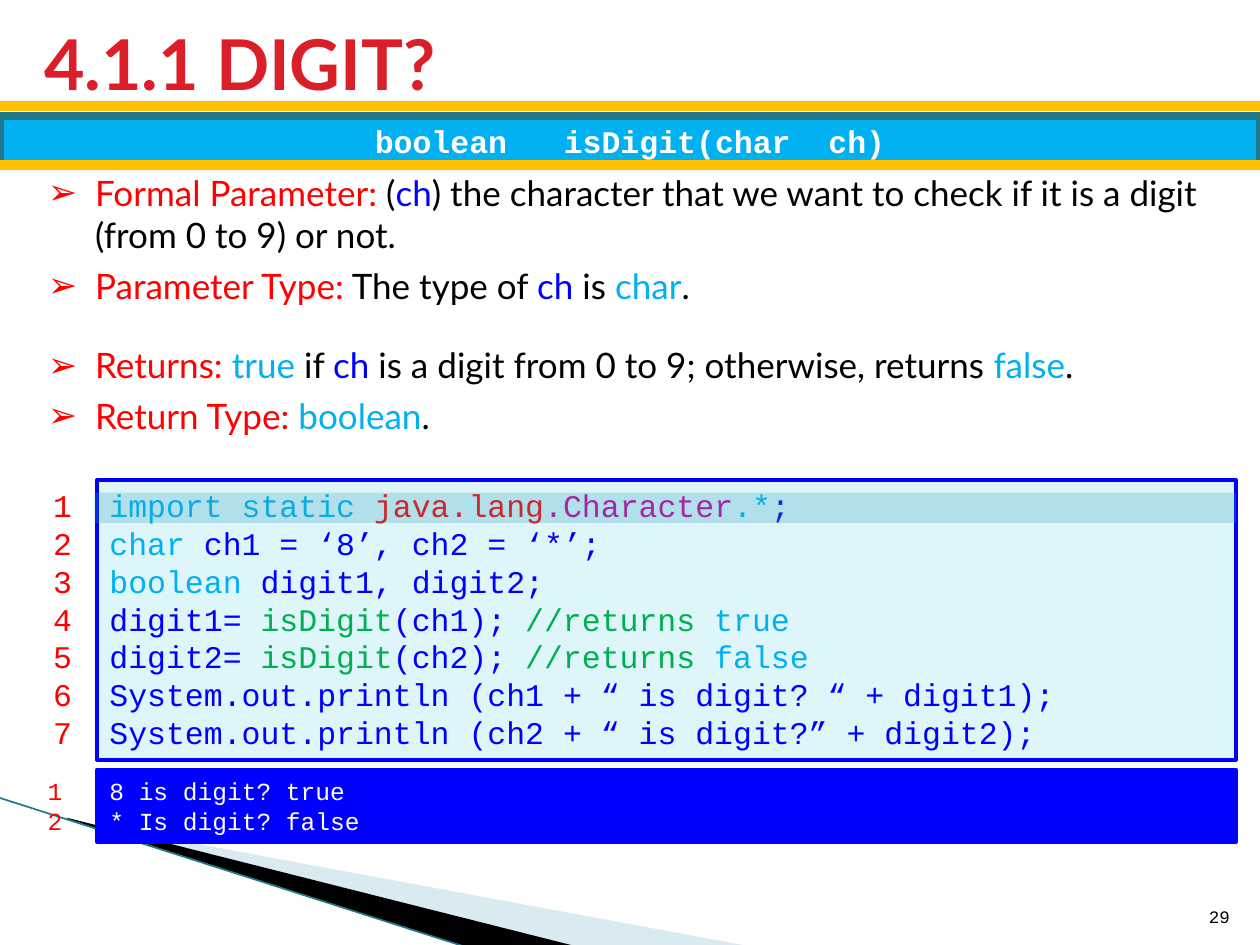
from lxml.etree import SubElement
from pptx import Presentation
from pptx.dml.color import RGBColor
from pptx.enum.shapes import MSO_CONNECTOR as Connector, MSO_SHAPE as Shape
from pptx.enum.text import MSO_ANCHOR as Anchor, MSO_AUTO_SIZE as AutoSize, PP_ALIGN as Align
from pptx.oxml.ns import qn
from pptx.util import Pt

RED, BLUE, SKY, GREEN = "FF0000", "0000FF", "00B0F0", "00B050"
BLACK, WHITE, PURPLE, GOLD, TEAL = "000000", "FFFFFF", "CC0099", "FFC000", "21788D"
MONO, SANS = "Courier New", "Lato"


def paint(target, color, alpha=100):
    if hasattr(target, "solid"):
        target.solid()
        target.fore_color.rgb = RGBColor.from_string(color)
        if alpha < 100:
            tint = target._xPr.find(".//" + qn("a:srgbClr"))
            SubElement(tint, qn("a:alpha"), val=str(alpha * 1000))
    else:
        target.rgb = RGBColor.from_string(color)


def write(box, lines, font, size, align=Align.LEFT, anchor=Anchor.TOP, bold=False, spacing=None):
    frame = box.text_frame
    frame.word_wrap = True
    frame.auto_size = AutoSize.NONE
    frame.vertical_anchor = anchor
    for index, line in enumerate(lines):
        para = frame.add_paragraph() if index else frame.paragraphs[0]
        para.alignment = align
        para.space_before = Pt(0)
        if spacing:
            para.line_spacing = Pt(spacing)
        for text, color in line:
            span = para.add_run()
            span.text = text
            span.font.name = font
            span.font.size = Pt(size)
            span.font.bold = bold
            paint(span.font.color, color)


deck = Presentation()
deck.slide_width, deck.slide_height = Pt(720), Pt(540)
page = deck.slides.add_slide(deck.slide_layouts[4])
shapes = page.shapes
title, *bodies = page.placeholders

title.left, title.top, title.width, title.height = Pt(18), Pt(12.24), Pt(681.84), Pt(46.8)
write(title, [[("4.1.1 DIGIT?", "DA1F28")]], SANS, 40, anchor=Anchor.MIDDLE, bold=True)

facts = [
    (94.32, 55.44, [("Formal Parameter:", RED), (" (", BLACK), ("ch", BLUE),
                    (") the character that we want to check if it is a digit (from 0 to 9) or not.", BLACK)]),
    (147.6, 31.68, [("Parameter Type:", RED), (" The type of ", BLACK), ("ch", BLUE),
                    (" is ", BLACK), ("char", SKY), (".", BLACK)]),
    (192.96, 31.68, [("Returns: ", RED), ("true ", SKY), ("if ", BLACK), ("ch ", BLUE),
                     ("is a digit from 0 to 9; otherwise, returns ", BLACK), ("false", SKY), (".", BLACK)]),
    (221.76, 31.68, [("Return Type: ", RED), ("boolean", SKY), (".", BLACK)]),
]
for body, (top, height, line) in zip(bodies, facts):
    body.left, body.top, body.width, body.height = Pt(20.16), Pt(top), Pt(680.4), Pt(height)
    write(body, [line], SANS, 20)
    props = body.text_frame.paragraphs[0]._p.get_or_add_pPr()
    props.set("marL", str(Pt(27)))
    props.set("indent", str(-Pt(27)))
    SubElement(SubElement(props, qn("a:buClr")), qn("a:srgbClr"), val=RED)
    SubElement(props, qn("a:buChar"), char="➢")

wedges = [
    ([(39.6, 468.72), (428.4, 540.72), (328.32, 540.72), (39.6, 468)], "A0CBDC", 40),
    ([(38.16, 467.28), (329.04, 540.72), (267.84, 541.44), (38.88, 468)], BLACK, 100),
]
for points, color, alpha in wedges:
    start, *rest = [(Pt(x), Pt(y)) for x, y in points]
    builder = shapes.build_freeform(*start)
    builder.add_line_segments(rest)
    wedge = builder.convert_to_shape()
    wedge.shadow.inherit = False
    wedge.line.fill.background()
    paint(wedge.fill, color, alpha)

panels = {}
for name, left, top, width, height, fill, alpha, edge, weight in [
    ("signature", 0, 66.24, 720, 28.08, SKY, 100, TEAL, 4.33),
    ("code", 55.44, 274.32, 650.88, 159.84, "DEF5FA", 100, BLUE, 2.25),
    ("output", 55.44, 439.92, 650.88, 41.04, BLUE, 100, BLUE, 2.25),
    ("highlight", 54, 281.52, 652.32, 17.28, "2DA2BF", 25, None, 0),
]:
    panel = shapes.add_shape(Shape.RECTANGLE, Pt(left), Pt(top), Pt(width), Pt(height))
    panel.shadow.inherit = False
    paint(panel.fill, fill, alpha)
    if edge:
        paint(panel.line.fill, edge)
        panel.line.width = Pt(weight)
    else:
        panel.line.fill.background()
    panels[name] = panel

for x1, y1, x2, y2, color, weight in [
    (-0.72, 455.76, 267.12, 541.44, TEAL, 0.95),
    (0, 60.48, 720, 60.48, GOLD, 6),
    (0, 94.32, 720, 94.32, GOLD, 6),
]:
    rule = shapes.add_connector(Connector.STRAIGHT, Pt(x1), Pt(y1), Pt(x2), Pt(y2))
    paint(rule.line.fill, color)
    rule.line.width = Pt(weight)
    SubElement(rule._element.spPr, qn("a:effectLst"))
    if color == TEAL:
        shapes._spTree.insert(shapes._spTree.index(panels["signature"]._element), rule._element)

code = [
    [("import static ", SKY), ("java.lang", RED), (".Character", PURPLE), (".*", SKY), (";", BLUE)],
    [("char", SKY), (" ch1 = ‘8’, ch2 = ‘*’;", BLUE)],
    [("boolean", SKY), (" digit1, digit2;", BLUE)],
]
for number, value in [(1, "true"), (2, "false")]:
    code.append([(f"digit{number}= ", BLUE), ("isDigit", GREEN), (f"(ch{number}); ", BLUE),
                 ("//returns ", GREEN), (value, SKY)])
code += [
    [("System.out.println (ch1 + “ is digit? “ + digit1);", BLUE)],
    [("System.out.println (ch2 + “ is digit?” + digit2);", BLUE)],
]
output = [[("8 is digit? true", WHITE)], [("* Is digit? false", WHITE)]]

write(panels["signature"], [[("boolean   isDigit(char  ch)", WHITE)]], MONO, 18,
      Align.CENTER, Anchor.MIDDLE, bold=True)
write(panels["code"], code, MONO, 18, spacing=21.6)
write(panels["output"], output, MONO, 14, spacing=17)

for lines, left, width, panel, size, align, spacing in [
    (code, 14.4, 33.84, panels["code"], 18, Align.RIGHT, 21.6),
    (output, 20.16, 19.44, panels["output"], 14, Align.LEFT, 17),
]:
    gutter = shapes.add_textbox(Pt(left), panel.top, Pt(width), panel.height)
    numbers = [[(str(number), RED)] for number in range(1, len(lines) + 1)]
    write(gutter, numbers, MONO, size, align, spacing=spacing)

page_number = shapes.add_textbox(Pt(681.12), Pt(504.72), Pt(28.8), Pt(28.8))
write(page_number, [[("29", BLACK)]], MONO, 10, Align.RIGHT, Anchor.BOTTOM)

deck.save("out.pptx")
